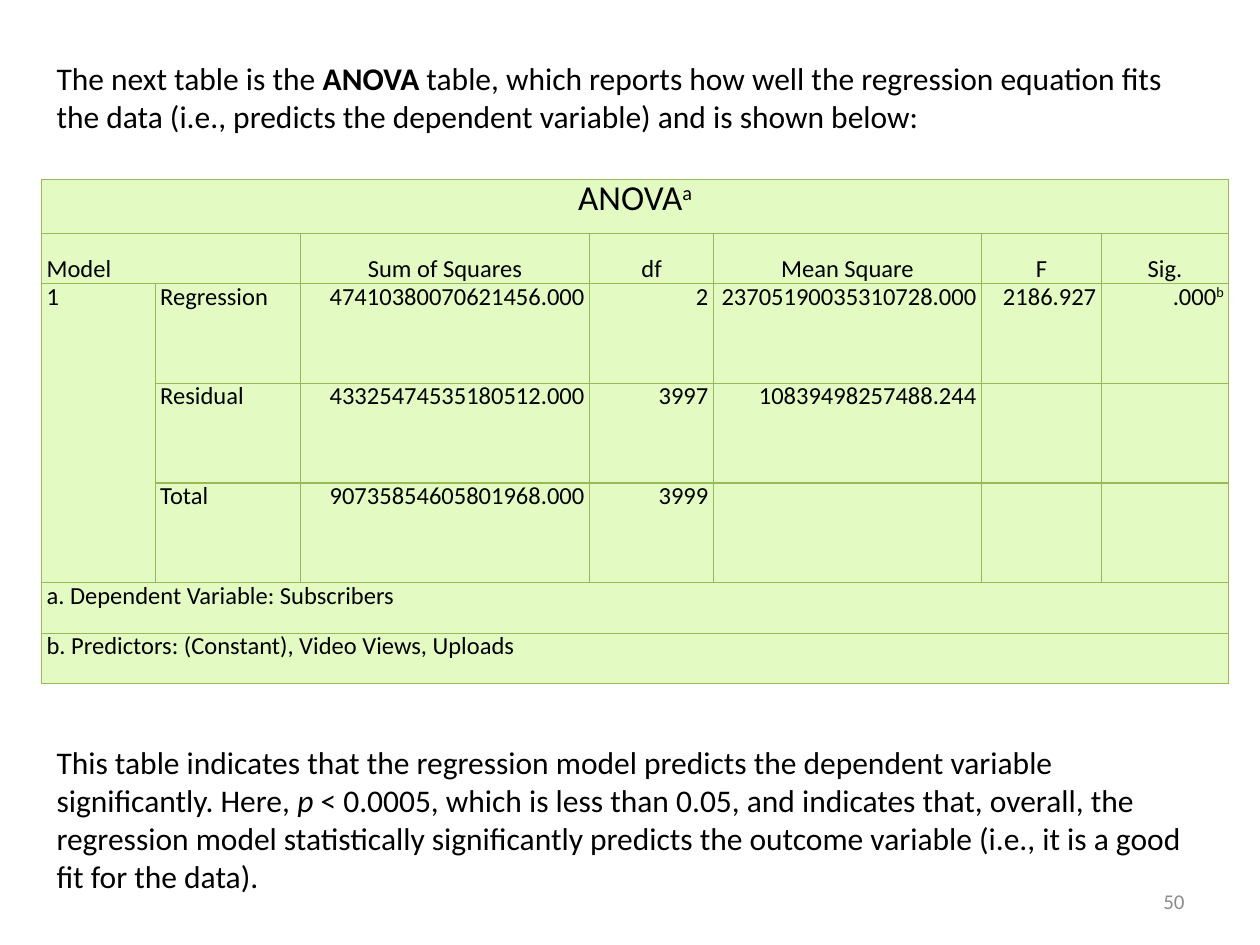
from lxml.etree import SubElement
from pptx import Presentation
from pptx.dml.color import RGBColor
from pptx.enum.text import MSO_ANCHOR, MSO_AUTO_SIZE, PP_ALIGN
from pptx.oxml import parse_xml
from pptx.oxml.ns import nsdecls, qn
from pptx.util import Cm, Pt

BLACK = RGBColor(0x00, 0x00, 0x00)
GREY = RGBColor(0x8C, 0x8C, 0x8C)
PALE_GREEN = RGBColor(0xE3, 0xFB, 0xC2)
GREEN = RGBColor(0x98, 0xB9, 0x55)

COLUMN_WIDTHS = [2.29, 2.92, 5.84, 2.49, 5.41, 2.41, 2.57]
ROW_HEIGHTS = [1.09, 1.02, 2.01, 2.01, 2.01, 1.02, 1.02]
ROWS = [
    ["ANOVA", "", "", "", "", "", ""],
    ["Model", "", "Sum of Squares", "df", "Mean Square", "F", "Sig."],
    ["1", "Regression", "47410380070621456.000", "2",
     "23705190035310728.000", "2186.927", ".000"],
    ["", "Residual", "43325474535180512.000", "3997", "10839498257488.244", "", ""],
    ["", "Total", "90735854605801968.000", "3999", "", "", ""],
    ["a. Dependent Variable: Subscribers", "", "", "", "", "", ""],
    ["b. Predictors: (Constant), Video Views, Uploads", "", "", "", "", "", ""],
]
SUPERSCRIPTS = {(0, 0): "a", (2, 6): "b"}
MERGES = [((0, 0), (0, 6)), ((1, 0), (1, 1)), ((2, 0), (4, 0)),
          ((5, 0), (5, 6)), ((6, 0), (6, 6))]


def add_span(para, text, size, color=BLACK, bold=False, italic=False):
    """Append one formatted run to a paragraph."""
    span = para.add_run()
    span.text = text
    font = span.font
    font.name, font.size = "Calibri", Pt(size)
    font.bold, font.italic = bold, italic
    font.color.rgb = color
    return span


def add_text_box(slide, left, top, width, height):
    """Add a wrapping text box and return its text frame."""
    box = slide.shapes.add_textbox(Cm(left), Cm(top), Cm(width), Cm(height))
    box.text_frame.word_wrap = True
    return box.text_frame


def add_paragraph_box(slide, left, top, width, height, parts):
    """Place body text made of (text, style) parts."""
    frame = add_text_box(slide, left, top, width, height)
    frame.auto_size = MSO_AUTO_SIZE.SHAPE_TO_FIT_TEXT
    for text, style in parts:
        add_span(frame.paragraphs[0], text, 18, **style)


def add_page_number(slide, left, top, width, height, number):
    """Place the right-aligned page number."""
    frame = add_text_box(slide, left, top, width, height)
    frame.vertical_anchor = MSO_ANCHOR.MIDDLE
    frame.paragraphs[0].alignment = PP_ALIGN.RIGHT
    add_span(frame.paragraphs[0], number, 12, GREY)


def style_cell(cell):
    """Give a cell its fill, zero margins and thin green borders."""
    cell.fill.solid()
    cell.fill.fore_color.rgb = PALE_GREEN
    cell.margin_left = cell.margin_right = cell.margin_top = cell.margin_bottom = 0
    properties = cell._tc.get_or_add_tcPr()
    for index, side in enumerate(("lnL", "lnR", "lnT", "lnB")):
        properties.insert(index, parse_xml(
            f'<a:{side} {nsdecls("a")} w="{Pt(0.75)}"><a:solidFill>'
            f'<a:srgbClr val="{GREEN}"/></a:solidFill></a:{side}>'))


def fill_cell(cell, row, column, text):
    """Write a cell's text with the alignment its position calls for."""
    if row < 2:
        cell.vertical_anchor = MSO_ANCHOR.BOTTOM if row else MSO_ANCHOR.MIDDLE
    para = cell.text_frame.paragraphs[0]
    para.line_spacing = Pt(16)
    if row == 0 or (row == 1 and column > 1):
        para.alignment = PP_ALIGN.CENTER
    elif column > 1:
        para.alignment = PP_ALIGN.RIGHT
    properties = para._p.get_or_add_pPr()
    for side in ("marL", "marR"):
        properties.set(side, str(Cm(0.1)))
    size = 14 if row else 20
    add_span(para, text, size)
    if (row, column) in SUPERSCRIPTS:
        mark = add_span(para, SUPERSCRIPTS[row, column], size)
        mark._r.get_or_add_rPr().set("baseline", "30000")


def add_anova_table(slide, left, top):
    """Place the ANOVA table with its top left corner at the given point."""
    table = slide.shapes.add_table(
        len(ROW_HEIGHTS), len(COLUMN_WIDTHS), Cm(left), Cm(top),
        Cm(sum(COLUMN_WIDTHS)), Cm(sum(ROW_HEIGHTS))).table
    table.first_row = table.horz_banding = False
    for column, width in zip(table.columns, COLUMN_WIDTHS):
        column.width = Cm(width)
    for row, height in zip(table.rows, ROW_HEIGHTS):
        row.height = Cm(height)
    for row, texts in enumerate(ROWS):
        for column, text in enumerate(texts):
            cell = table.cell(row, column)
            style_cell(cell)
            if text:
                fill_cell(cell, row, column, text)
    for first, last in MERGES:
        table.cell(*first).merge(table.cell(*last))


def main():
    """Build the slide and save the deck."""
    deck = Presentation()
    deck.slide_width, deck.slide_height = Cm(25.4), Cm(19.05)
    slide = deck.slides.add_slide(deck.slide_layouts[6])
    add_anova_table(slide, 0.84, 3.61)
    add_paragraph_box(slide, 0.89, 1.07, 23.19, 1.8, [
        ("The next table is the ", {}),
        ("ANOVA", {"bold": True}),
        (" table, which reports how well the regression equation fits the data "
         "(i.e., predicts the dependent variable) and is shown below:", {}),
    ])
    add_paragraph_box(slide, 0.89, 14.86, 23.44, 3.35, [
        ("This table indicates that the regression model predicts the dependent "
         "variable significantly. Here, ", {}),
        ("p", {"italic": True}),
        (" < 0.0005, which is less than 0.05, and indicates that, overall, the "
         "regression model statistically significantly predicts the outcome "
         "variable (i.e., it is a good fit for the data).", {}),
    ])
    add_page_number(slide, 18.21, 17.65, 5.92, 1.02, "50")
    deck.save("out.pptx")


if __name__ == "__main__":
    main()
